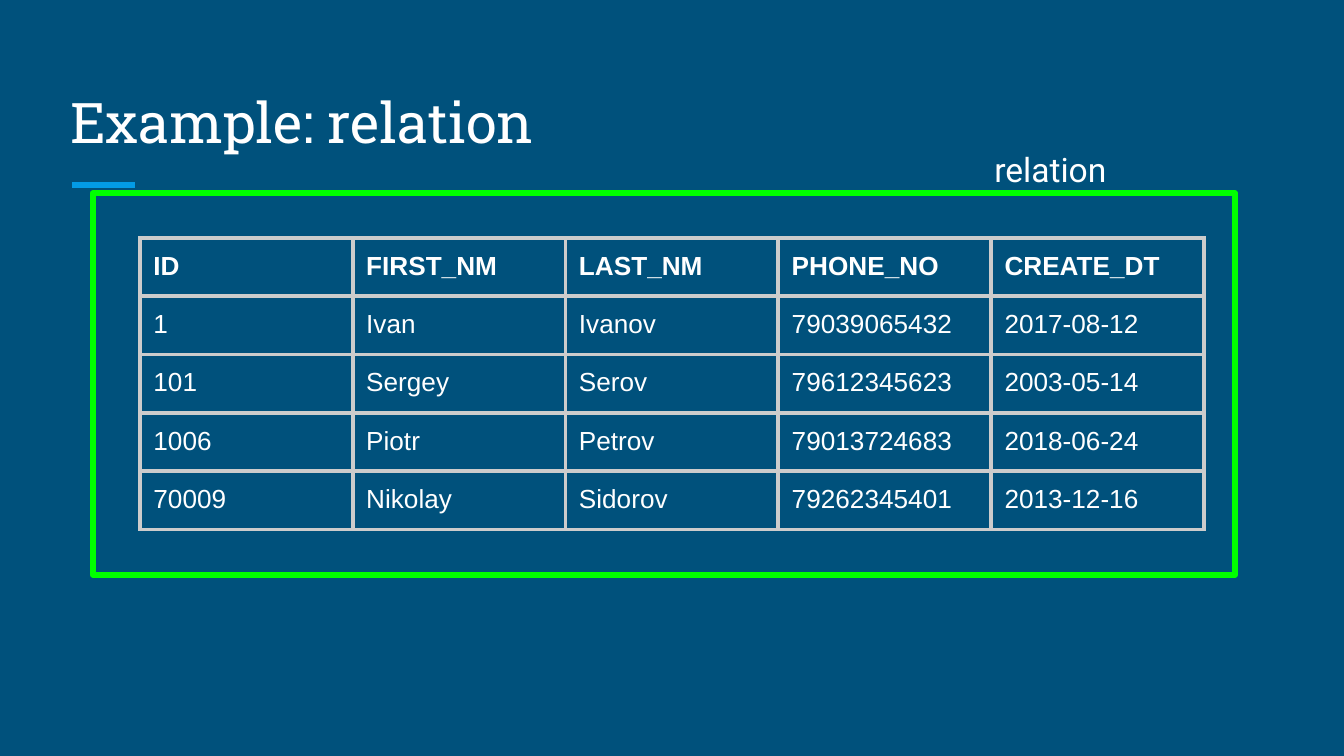
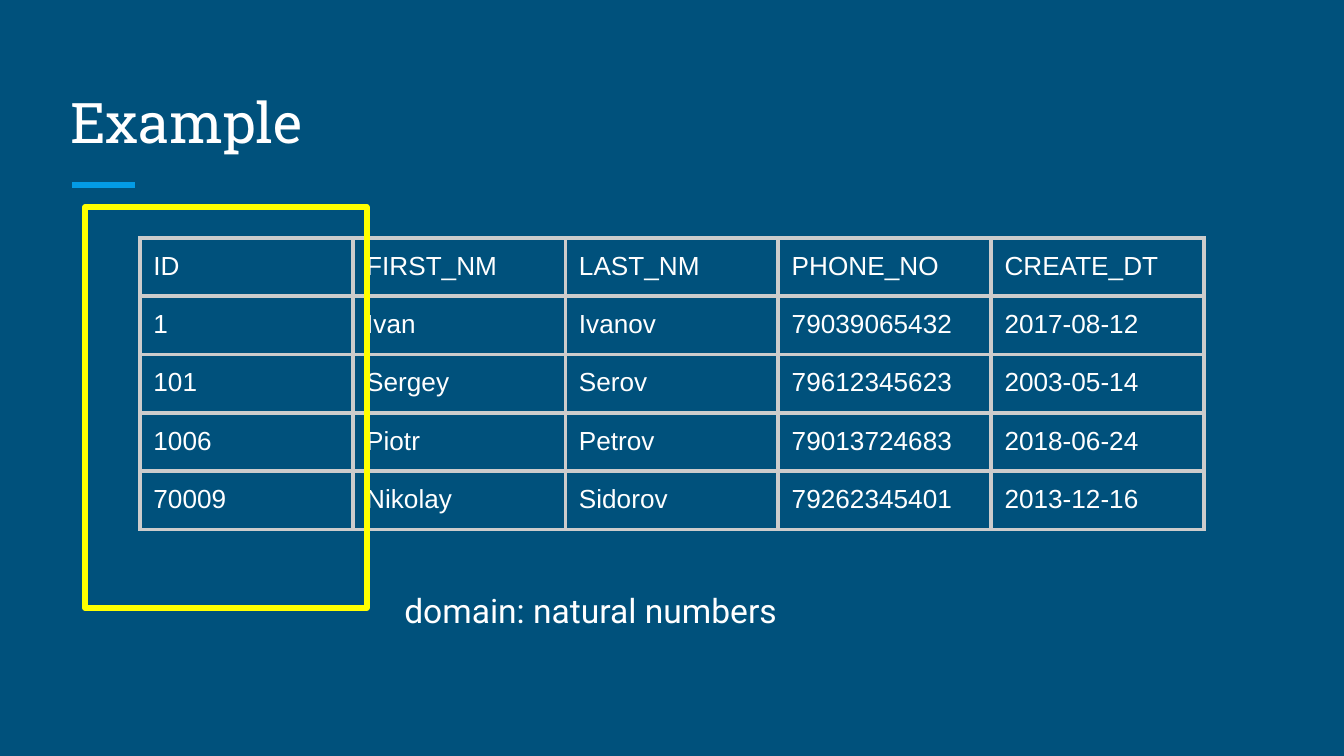
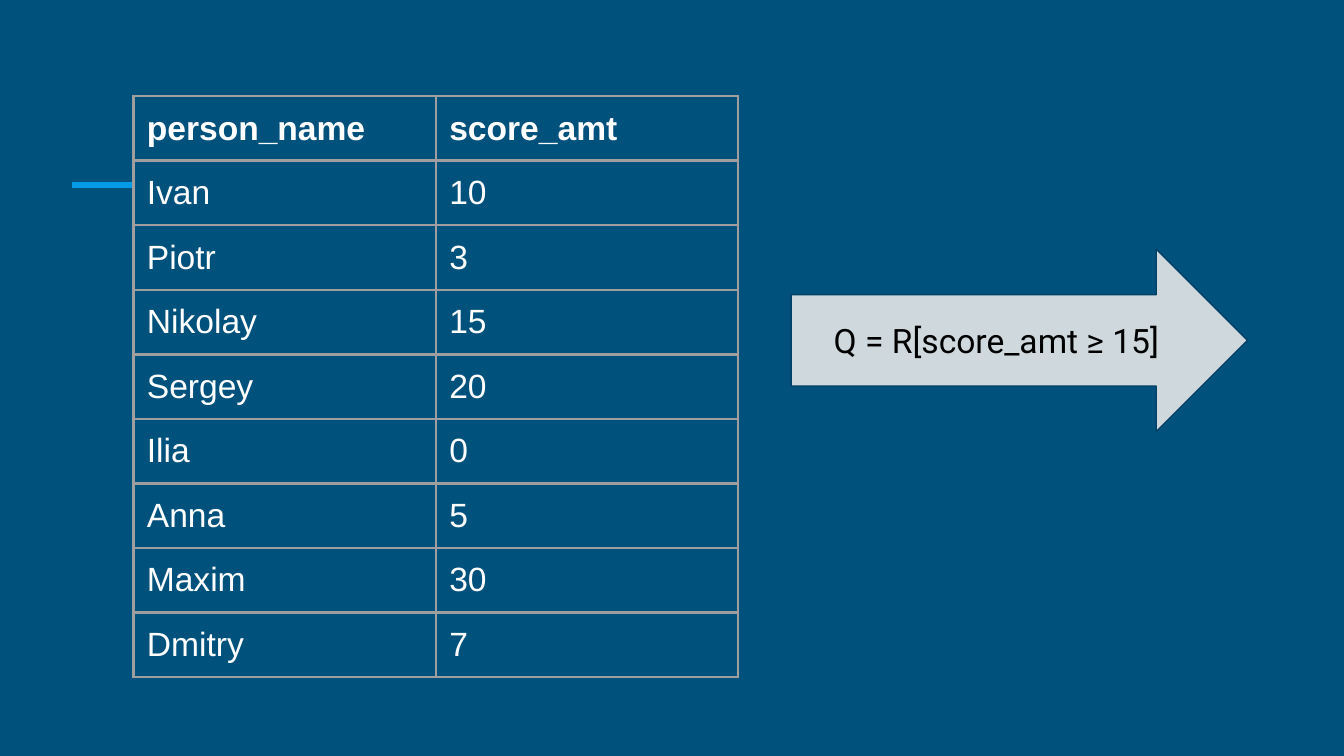
import pptx
import pptx.util
import pptx.dml.color
import pptx.enum.shapes
import pptx.enum.text
from lxml import etree

Pt = pptx.util.Pt
SHAPE = pptx.enum.shapes.MSO_SHAPE
ANCHOR = pptx.enum.text.MSO_ANCHOR
ALIGN = pptx.enum.text.PP_ALIGN

# Content
PEOPLE = [
    ("ID", "FIRST_NM", "LAST_NM", "PHONE_NO", "CREATE_DT"),
    ("1", "Ivan", "Ivanov", "79039065432", "2017-08-12"),
    ("101", "Sergey", "Serov", "79612345623", "2003-05-14"),
    ("1006", "Piotr", "Petrov", "79013724683", "2018-06-24"),
    ("70009", "Nikolay", "Sidorov", "79262345401", "2013-12-16"),
]
SCORES = [
    ("person_name", "score_amt"),
    ("Ivan", "10"),
    ("Piotr", "3"),
    ("Nikolay", "15"),
    ("Sergey", "20"),
    ("Ilia", "0"),
    ("Anna", "5"),
    ("Maxim", "30"),
    ("Dmitry", "7"),
]
TITLES = ("Example: relation", "Example")
LABELS = ("relation", "domain: natural numbers")
QUERY = "Q = R[score_amt ≥ 15]"

# Shared style
COLORS = {
    "back": "00517C", "accent": "039BE5", "text": "FFFFFF", "ink": "000000",
    "green": "00FF00", "yellow": "FFFF00", "grid": "CCCCCC", "rule": "9E9E9E",
    "arrow": "CFD8DC", "edge": "004065",
}
WIDTH, HEIGHT = 720, 405
TITLE = (30.5, 36, 659, 54)
ACCENT = (38.6, 99, 72.2, 99)
INSET = 7.2
ROW = 30
DRAW = "http://schemas.openxmlformats.org/drawingml/2006/main"


def tint(name):
    return pptx.dml.color.RGBColor.from_string(COLORS[name])


def node(parent, tag, **attrs):
    return etree.SubElement(parent, f"{{{DRAW}}}{tag}", **attrs)


def stroke(line, color, width):
    line.color.rgb = tint(color)
    line.width = Pt(width)


def write(frame, text, size, face="Roboto", color="text", bold=False):
    para = frame.paragraphs[0]
    para.text = text
    font = para.font
    font.size, font.name, font.bold = Pt(size), face, bold
    font.color.rgb = tint(color)
    return para


def pad(frame, anchor):
    frame.word_wrap = True
    frame.vertical_anchor = anchor
    frame.margin_left = frame.margin_right = Pt(INSET)
    frame.margin_top = frame.margin_bottom = Pt(INSET)


def add_text(slide, box, text, size, face="Roboto", anchor=ANCHOR.TOP):
    frame = slide.shapes.add_textbox(*map(Pt, box)).text_frame
    pad(frame, anchor)
    write(frame, text, size, face)


def add_frame(slide, box, color):
    rect = slide.shapes.add_shape(SHAPE.RECTANGLE, *map(Pt, box))
    rect.shadow.inherit = False
    rect.fill.background()
    stroke(rect.line, color, 3)
    node(rect.line._get_or_add_ln(), "round")


def add_grid(slide, left, top, rows, col, size, color, width, bold):
    count = len(rows[0])
    table = slide.shapes.add_table(
        len(rows), count, Pt(left), Pt(top),
        Pt(col * count), Pt(ROW * len(rows))).table
    table.first_row = table.horz_banding = False
    for column in table.columns:
        column.width = Pt(col)
    for r, row in enumerate(rows):
        for c, text in enumerate(row):
            cell = table.cell(r, c)
            cell.margin_left = cell.margin_right = Pt(INSET)
            cell.margin_top = cell.margin_bottom = Pt(INSET)
            write(cell.text_frame, text, size, "Arial", bold=bold and r == 0)
            # Borders come before the fill in the cell properties
            props = cell._tc.get_or_add_tcPr()
            for side in ("lnL", "lnR", "lnT", "lnB"):
                edge = node(props, side, w=str(Pt(width)))
                node(node(edge, "solidFill"), "srgbClr", val=COLORS[color])
            cell.fill.background()


def add_people(slide, bold):
    add_grid(slide, 75, 127.5, PEOPLE, 114, 14, "grid", 2.25, bold)


def add_slide(deck, title=None):
    slide = deck.slides.add_slide(deck.slide_layouts[6])
    line = slide.shapes.add_connector(
        pptx.enum.shapes.MSO_CONNECTOR.STRAIGHT, *map(Pt, ACCENT))
    stroke(line.line, "accent", 3)
    node(line._element.spPr, "effectLst")
    if title:
        add_text(slide, TITLE, title, 30, "Roboto Slab", ANCHOR.BOTTOM)
    return slide


def main():
    deck = pptx.Presentation()
    deck.slide_width, deck.slide_height = Pt(WIDTH), Pt(HEIGHT)
    back = deck.slide_master.background.fill
    back.solid()
    back.fore_color.rgb = tint("back")

    # Whole table framed as a relation
    slide = add_slide(deck, TITLES[0])
    add_frame(slide, (49.7, 103.5, 612, 204.5), "green")
    add_people(slide, True)
    add_text(slide, (525.6, 72.7, 136, 24.5), LABELS[0], 18)

    # One column framed as a domain
    slide = add_slide(deck, TITLES[1])
    add_people(slide, False)
    add_frame(slide, (45.5, 111, 151, 214.7), "yellow")
    add_text(slide, (209.5, 309, 293, 23), LABELS[1], 18)

    # Scores and the selection arrow
    slide = add_slide(deck)
    add_grid(slide, 71.5, 51.5, SCORES, 162, 18, "rule", 1.5, True)
    arrow = slide.shapes.add_shape(
        SHAPE.RIGHT_ARROW, *map(Pt, (423.8, 133.5, 244.5, 97.7)))
    arrow.shadow.inherit = False
    arrow.fill.solid()
    arrow.fill.fore_color.rgb = tint("arrow")
    stroke(arrow.line, "edge", 0.75)
    pad(arrow.text_frame, ANCHOR.MIDDLE)
    write(arrow.text_frame, QUERY, 18, color="ink").alignment = ALIGN.CENTER

    deck.save("out.pptx")


if __name__ == "__main__":
    main()
